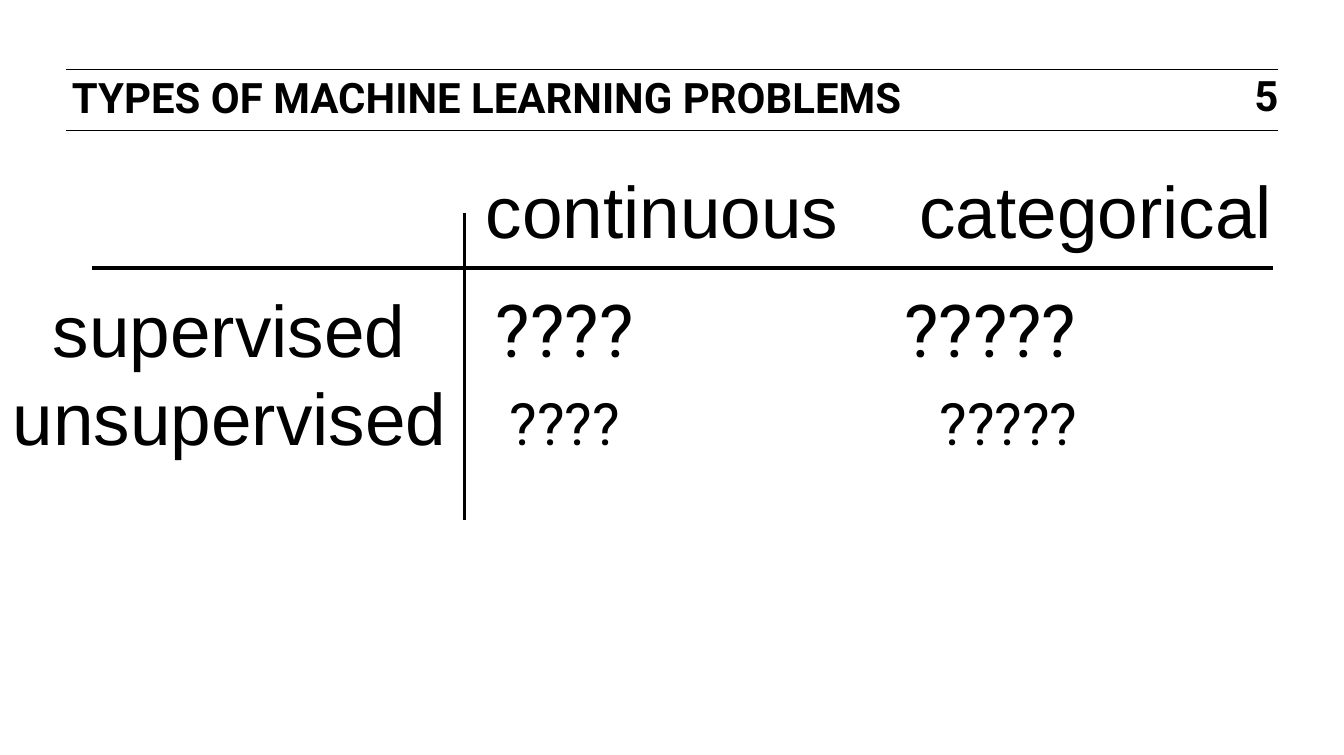
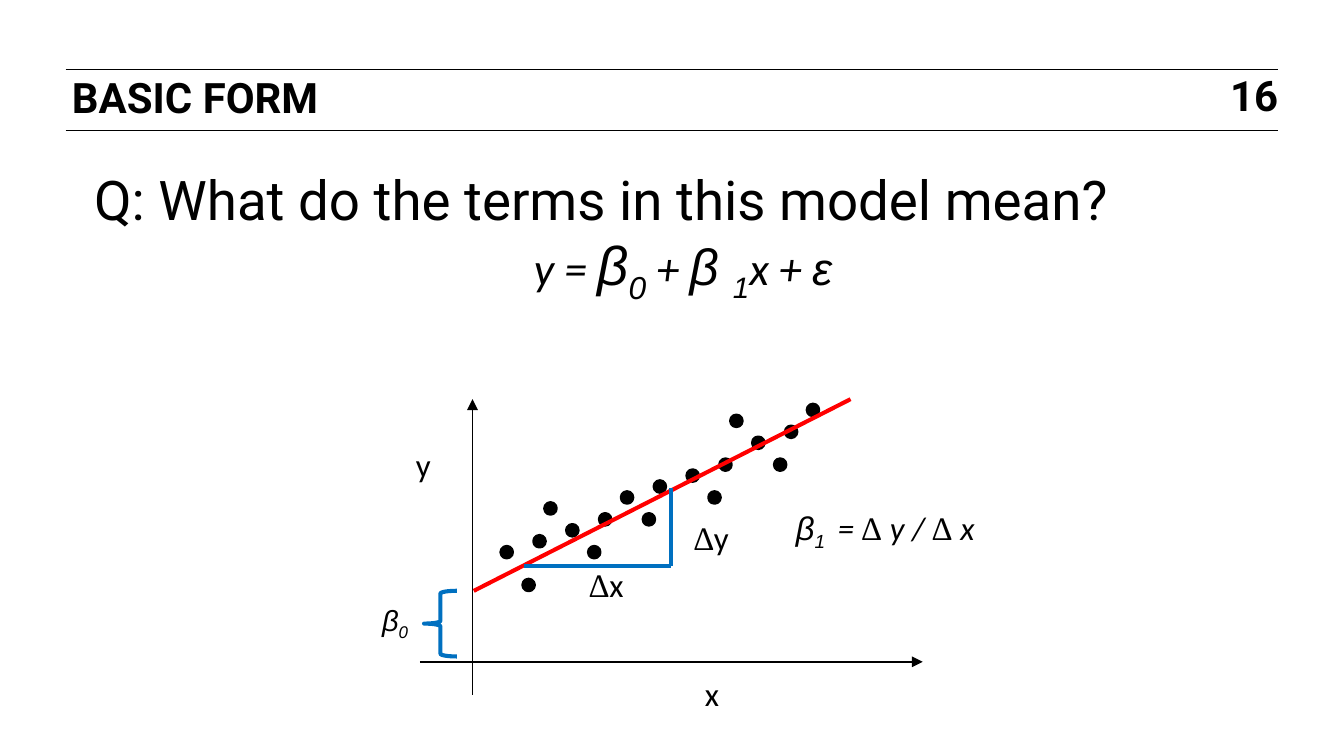
from dataclasses import dataclass

from lxml import etree
from pptx import Presentation
from pptx.dml import color
from pptx.enum import shapes, text
from pptx.oxml import ns
from pptx.util import Pt


@dataclass(frozen=True)
class Theme:
    ink: color.RGBColor = color.RGBColor(0, 0, 0)
    paper: color.RGBColor = color.RGBColor(255, 255, 255)
    fit: color.RGBColor = color.RGBColor(255, 0, 0)
    accent: color.RGBColor = color.RGBColor(0, 112, 192)
    head_font: str = "Roboto"
    plain_font: str = "Arial"
    math_font: str = "Calibri"
    delta_font: str = "Times New Roman"
    head_size: float = 23
    matrix_size: float = 40
    small_matrix_size: float = 32
    question_size: float = 30
    beta_size: float = 28
    formula_size: float = 25
    label_size: float = 18
    intercept_size: float = 16
    rule_width: float = 0.5
    axis_width: float = 1
    grid_width: float = 2
    mark_width: float = 2.25


THEME = Theme()
LEFT, CENTER, RIGHT = text.PP_ALIGN.LEFT, text.PP_ALIGN.CENTER, text.PP_ALIGN.RIGHT


@dataclass(frozen=True)
class Box:
    left: float
    top: float
    width: float
    height: float


@dataclass(frozen=True)
class Piece:
    words: str
    size: float
    font: str
    italic: bool = False
    bold: bool = False
    lowered: bool = False


@dataclass(frozen=True)
class Line:
    pieces: tuple[Piece, ...]
    align: text.PP_ALIGN = LEFT
    spacing: float | None = None
    stops: tuple[float, ...] = ()


@dataclass(frozen=True)
class Stroke:
    start: tuple[float, float]
    end: tuple[float, float]
    width: float
    ink: color.RGBColor = THEME.ink
    arrow: bool = False


def write(slide, box: Box, lines: tuple[Line, ...], wrap: bool = True, grow: bool = True):
    area = slide.shapes.add_textbox(Pt(box.left), Pt(box.top), Pt(box.width), Pt(box.height))
    frame = area.text_frame
    frame.word_wrap = wrap
    frame.auto_size = text.MSO_AUTO_SIZE.SHAPE_TO_FIT_TEXT if grow else text.MSO_AUTO_SIZE.NONE
    for index, line in enumerate(lines):
        paragraph = frame.add_paragraph() if index else frame.paragraphs[0]
        paragraph.alignment = line.align
        if line.spacing:
            paragraph.line_spacing = Pt(line.spacing)
        if line.stops:
            set_stops(paragraph, line.stops)
        for piece in line.pieces:
            run = paragraph.add_run()
            run.text = piece.words
            run.font.size = Pt(piece.size)
            run.font.name = piece.font
            run.font.italic = piece.italic
            run.font.bold = piece.bold
            run.font.color.rgb = THEME.ink
            if piece.lowered:
                run._r.get_or_add_rPr().set("baseline", "-25000")
    return frame


def set_stops(paragraph, stops: tuple[float, ...]) -> None:
    stop_list = etree.SubElement(paragraph._p.get_or_add_pPr(), ns.qn("a:tabLst"))
    for stop in stops:
        etree.SubElement(stop_list, ns.qn("a:tab"), pos=str(int(Pt(stop))), algn="l")


def draw(slide, stroke: Stroke) -> None:
    ends = [Pt(value) for value in (*stroke.start, *stroke.end)]
    connector = slide.shapes.add_connector(shapes.MSO_CONNECTOR.STRAIGHT, *ends)
    connector.line.width = Pt(stroke.width)
    connector.line.color.rgb = stroke.ink
    if stroke.arrow:
        etree.SubElement(connector.line._get_or_add_ln(), ns.qn("a:tailEnd"), type="triangle")
    etree.SubElement(connector._element.spPr, ns.qn("a:effectLst"))


def add_mark(slide, kind: shapes.MSO_SHAPE, box: Box, width: float,
             ink: color.RGBColor, filled: bool) -> None:
    mark = slide.shapes.add_shape(kind, Pt(box.left), Pt(box.top), Pt(box.width), Pt(box.height))
    mark.shadow.inherit = False
    mark.line.color.rgb = ink
    mark.line.width = Pt(width)
    if filled:
        mark.fill.solid()
        mark.fill.fore_color.rgb = ink
    else:
        mark.fill.background()


def start_slide(deck, title: str, number: str):
    slide = deck.slides.add_slide(deck.slide_layouts[6])
    slide.background.fill.solid()
    slide.background.fill.fore_color.rgb = THEME.paper
    for height in (38.2, 71.3):
        draw(slide, Stroke((36, height), (701.3, height), THEME.rule_width))

    def heading(words: str) -> tuple[Piece, ...]:
        return (Piece(words, THEME.head_size, THEME.head_font, bold=True),)

    write(slide, Box(32.4, 38.9, 504, 23.8), (Line(heading(title), spacing=24.5),), grow=False)
    page = write(slide, Box(681.1, 41.8, 20.2, 24.5),
                 (Line(heading(number), RIGHT, 23),), wrap=False, grow=False)
    page.vertical_anchor = text.MSO_ANCHOR.MIDDLE
    page.margin_left, page.margin_right = Pt(5), Pt(0)
    page.margin_top = page.margin_bottom = Pt(3)
    return slide


def build_problem_types(deck) -> None:
    slide = start_slide(deck, "TYPES OF MACHINE LEARNING PROBLEMS", "5")
    draw(slide, Stroke((254.9, 116.6), (254.9, 285.1), THEME.grid_width))
    draw(slide, Stroke((50.4, 146.9), (698.4, 146.9), THEME.grid_width))

    def plain(words: str) -> Piece:
        return Piece(words, THEME.matrix_size, THEME.plain_font)

    def answers(size: float) -> Piece:
        return Piece("\t????\t?????", size, THEME.head_font)

    write(slide, Box(248.4, 87.1, 486, 55.4),
          (Line((plain("\tcontinuous\tcategorical"),), stops=(11, 249)),))
    write(slide, Box(0, 152.6, 666.7, 104.4), (
        Line((plain("\tsupervised"), answers(THEME.matrix_size)), stops=(22, 265, 489)),
        Line((plain("unsupervised"), answers(THEME.small_matrix_size)), stops=(272.5, 508.5)),
    ))


DOT_STEPS = (
    (0, 13), (2, 16), (3, 12), (6, 11), (8, 13), (9, 10), (11, 8), (13, 10), (14, 7),
    (17, 6), (19, 8), (20, 5), (4, 9), (23, 3), (25, 5), (26, 2), (28, 0), (21, 1),
)
DOT_STEP = 6
DOT_SIZE = 6
DOT_LEFT, DOT_TOP = 275, 221.8


def label(words: str) -> Piece:
    return Piece(words, THEME.label_size, THEME.math_font)


def slanted(words: str) -> Piece:
    return Piece(words, THEME.label_size, THEME.math_font, italic=True)


def delta(words: str) -> Piece:
    return Piece(words, THEME.label_size, THEME.delta_font)


def greek(words: str, size: float, lowered: bool = False) -> Piece:
    return Piece(words, size, THEME.plain_font, italic=True, lowered=lowered)


def build_basic_form(deck) -> None:
    slide = start_slide(deck, "BASIC FORM", "16")

    def term(words: str) -> Piece:
        return Piece(words, THEME.formula_size, THEME.math_font, italic=True)

    question = Piece("Q: What do the terms in this model mean?", THEME.question_size, THEME.head_font)
    formula = (
        term("y = "),
        greek("β", THEME.question_size), greek("0", THEME.question_size, True),
        term(" + "),
        greek("β ", THEME.beta_size), greek("1", THEME.beta_size, True),
        term("x + "),
        greek("ε", THEME.formula_size),
    )
    write(slide, Box(44.6, 87.1, 660.2, 79.9), (Line((question,)), Line(formula, CENTER)))

    draw(slide, Stroke((259.2, 380.9), (259.2, 218.9), THEME.axis_width, arrow=True))
    draw(slide, Stroke((230.4, 362.9), (506.2, 362.9), THEME.axis_width, arrow=True))

    for column, row in DOT_STEPS:
        place = Box(DOT_LEFT + column * DOT_STEP, DOT_TOP + row * DOT_STEP, DOT_SIZE, DOT_SIZE)
        add_mark(slide, shapes.MSO_SHAPE.OVAL, place, THEME.grid_width, THEME.ink, True)

    draw(slide, Stroke((466.6, 218.9), (259.9, 324), THEME.mark_width, THEME.fit))
    add_mark(slide, shapes.MSO_SHAPE.LEFT_BRACE, Box(232.6, 324, 18, 36),
             THEME.mark_width, THEME.accent, False)
    corner = (367.9, 310.3)
    for start in ((367.9, 267.8), (287.3, 310.3)):
        draw(slide, Stroke(start, corner, THEME.mark_width, THEME.accent))

    intercept = (greek("β", THEME.intercept_size), greek("0", THEME.intercept_size, True))
    slope = (
        greek("β", THEME.label_size), greek("1 ", THEME.label_size, True),
        slanted(" = "), delta("∆ "), slanted("y / "), delta("∆ "), slanted("x"),
    )
    for box, pieces, wrap in (
        (Box(377.3, 365.8, 26.6, 28.8), (label("x"),), True),
        (Box(218.9, 240.5, 26.6, 28.8), (label("y"),), True),
        (Box(202.3, 326.9, 28.8, 26.6), intercept, False),
        (Box(424.1, 275, 123.1, 28.8), slope, False),
        (Box(312.5, 306, 40.3, 28.8), (delta("∆"), label("x")), True),
        (Box(370.1, 280.1, 40.3, 28.8), (delta("∆"), label("y")), True),
    ):
        write(slide, box, (Line(pieces, CENTER),), wrap)


def main() -> None:
    deck = Presentation()
    deck.slide_width, deck.slide_height = Pt(737.28), Pt(414)
    build_problem_types(deck)
    build_basic_form(deck)
    deck.save("out.pptx")


if __name__ == "__main__":
    main()
